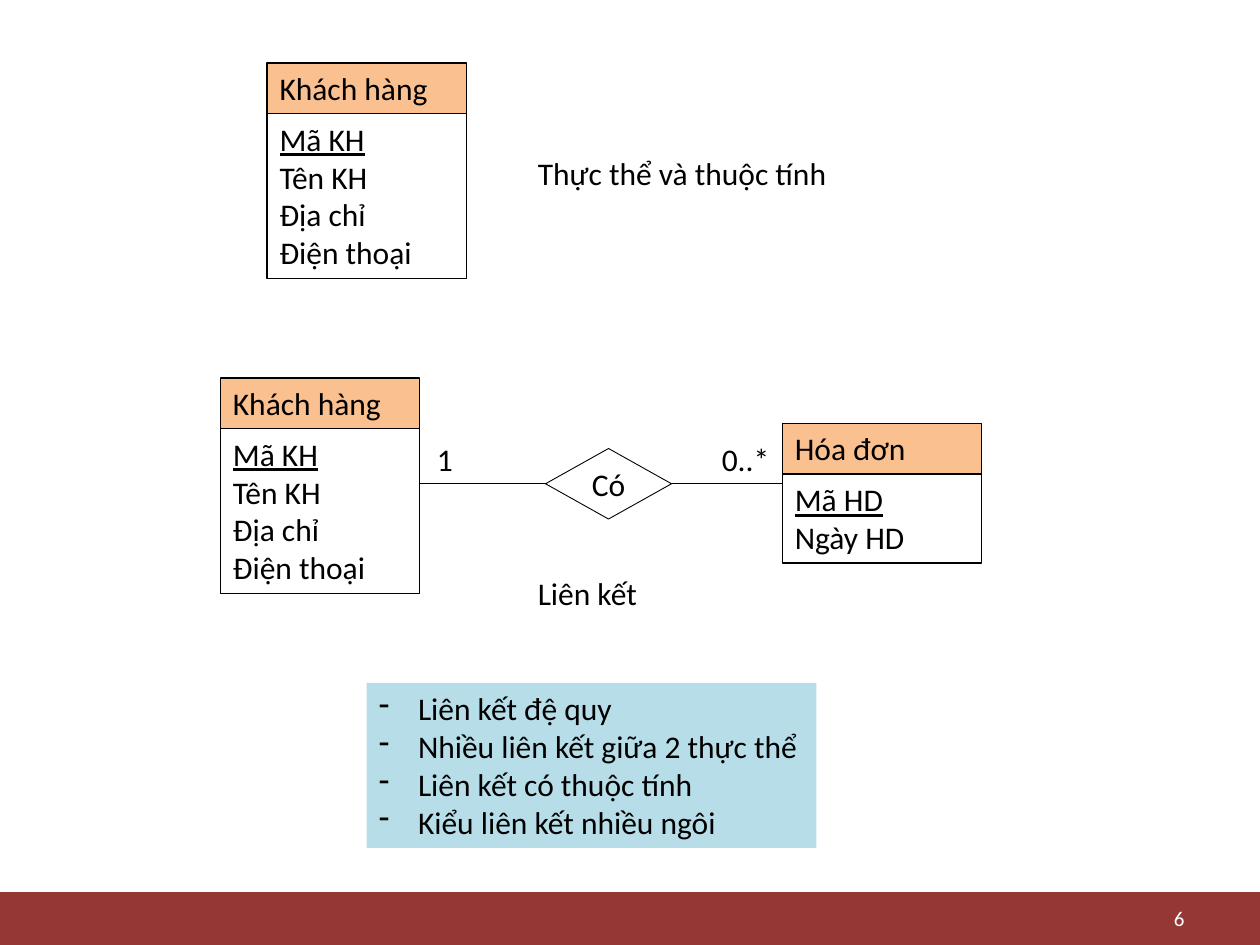
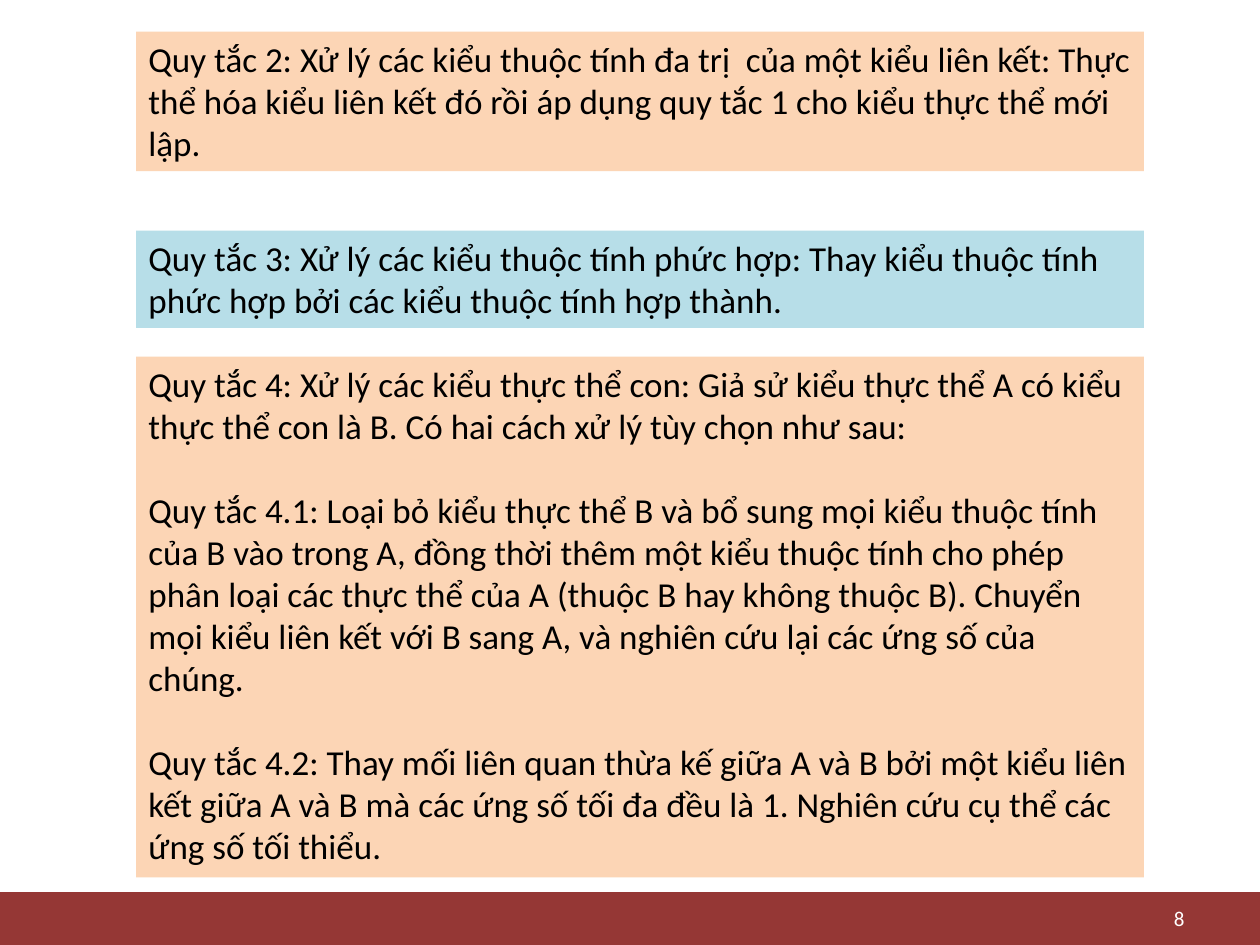
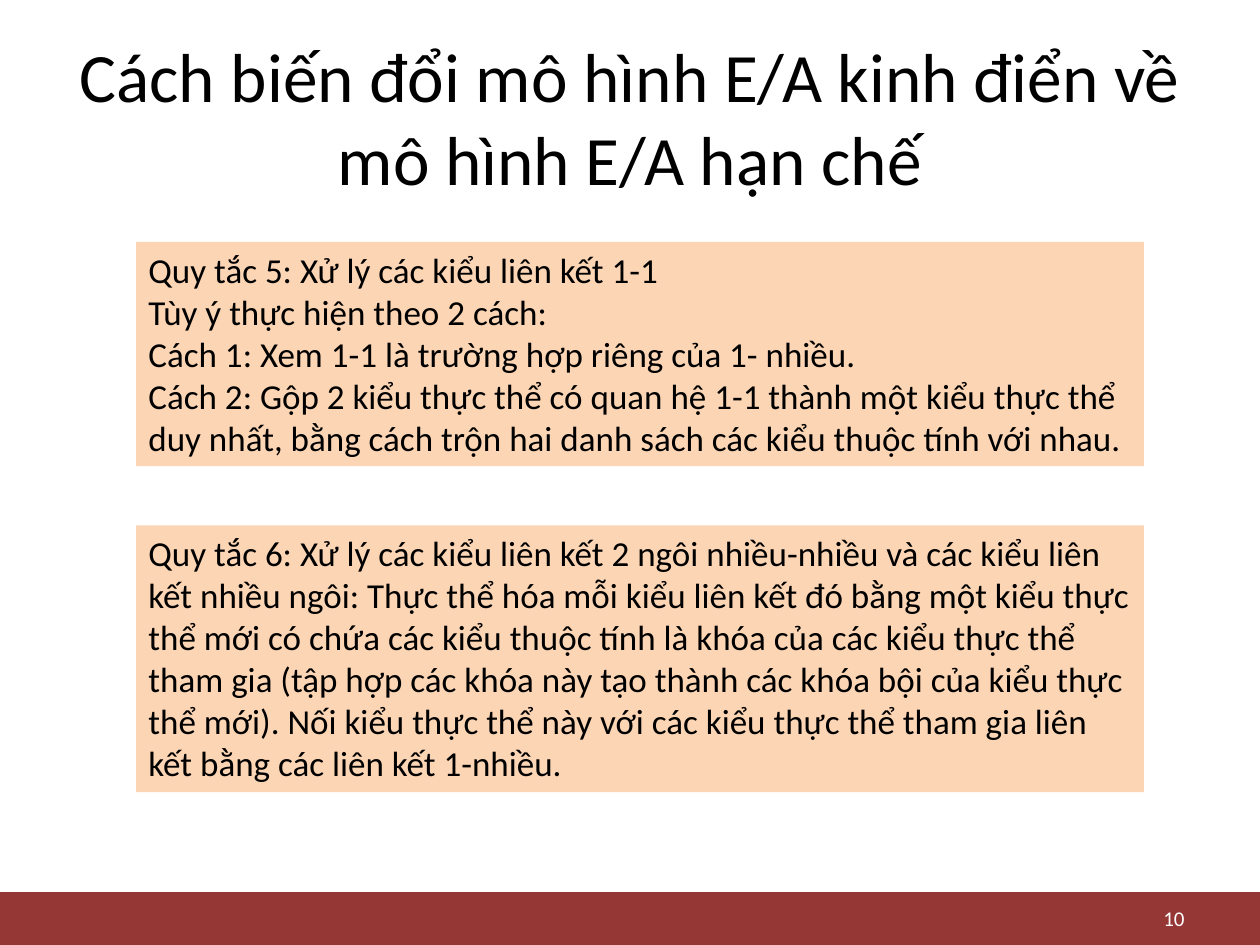
import dataclasses

import lxml.etree
import pptx
import pptx.dml.color
import pptx.enum.shapes
import pptx.enum.text
import pptx.oxml.ns
import pptx.util

Inches = pptx.util.Inches
Preset = pptx.enum.shapes.MSO_SHAPE
Align = pptx.enum.text.PP_ALIGN
Anchor = pptx.enum.text.MSO_ANCHOR
AutoSize = pptx.enum.text.MSO_AUTO_SIZE


@dataclasses.dataclass(frozen=True)
class Theme:
    font: str = "Calibri"
    ink: str = "000000"
    paper: str = "FFFFFF"
    band: str = "953735"
    header: str = "FAC090"
    peach: str = "FCD5B5"
    sky: str = "B7DEE8"
    title_size: float = 39.6
    rule_size: float = 20
    label_size: float = 18
    number_size: float = 12
    thin: float = 0.5
    line: float = 0.75


def text_height(lines, size):
    """Height in inches of a box that holds this many lines of text."""
    return 0.1 + lines * size * 1.21 / 72


class Builder:
    def __init__(self, theme):
        self.theme = theme
        self.deck = pptx.Presentation()
        self.deck.slide_width, self.deck.slide_height = Inches(10), Inches(7.5)
        self.page = None

    def new_page(self, number):
        """Start a slide with its footer band and number."""
        self.page = self.deck.slides.add_slide(self.deck.slide_layouts[6])
        self.shape(0, 7.08, 10, 0.42, fill=self.theme.band)
        self.text(7.17, 7.15, 2.33, 0.27, [str(number)], self.theme.number_size,
                  color=self.theme.paper, align=Align.RIGHT, anchor=Anchor.MIDDLE)

    def set_text(self, box, lines, size, color=None, align=Align.LEFT,
                 anchor=Anchor.TOP, wrap=True, grow=False):
        frame = box.text_frame
        frame.text = "\n".join(lines)
        frame.word_wrap = wrap
        frame.vertical_anchor = anchor
        frame.auto_size = AutoSize.SHAPE_TO_FIT_TEXT if grow else AutoSize.NONE
        for para in frame.paragraphs:
            para.alignment = align
            for span in para.runs:
                span.font.name = self.theme.font
                span.font.size = pptx.util.Pt(size)
                span.font.color.rgb = pptx.dml.color.RGBColor.from_string(
                    color or self.theme.ink)
        return box

    def text(self, left, top, width, height, lines, size, **style):
        box = self.page.shapes.add_textbox(
            Inches(left), Inches(top), Inches(width), Inches(height))
        return self.set_text(box, lines, size, **style)

    def label(self, left, top, width, words):
        size = self.theme.label_size
        self.text(left, top, width, text_height(1, size), [words], size,
                  wrap=False, grow=True)

    def title(self, words):
        self.text(0.5, 0.3, 9, 1.25, [words], self.theme.title_size,
                  align=Align.CENTER, anchor=Anchor.MIDDLE)

    def outline(self, line, width):
        line.color.rgb = pptx.dml.color.RGBColor.from_string(self.theme.ink)
        line.width = pptx.util.Pt(width)

    def shape(self, left, top, width, height, fill=None, line=None,
              preset=Preset.RECTANGLE):
        box = self.page.shapes.add_shape(
            preset, Inches(left), Inches(top), Inches(width), Inches(height))
        box.shadow.inherit = False
        if fill:
            box.fill.solid()
            box.fill.fore_color.rgb = pptx.dml.color.RGBColor.from_string(fill)
        else:
            box.fill.background()
        if line:
            self.outline(box.line, line)
        else:
            box.line.fill.background()
        return box

    def entity(self, left, top, name, attributes):
        """Entity card: header over attributes, the first being the key."""
        size, width = self.theme.label_size, 1.58
        head_height = text_height(1, size)
        head = self.shape(left, top, width, head_height,
                          self.theme.header, self.theme.line)
        self.set_text(head, [name], size, grow=True)
        body = self.shape(left, top + head_height, width,
                          text_height(len(attributes), size), line=self.theme.line)
        self.set_text(body, attributes, size, grow=True)
        body.text_frame.paragraphs[0].runs[0].font.underline = True

    def relation(self, left, top, width, height, name):
        diamond = self.shape(left, top, width, height, line=self.theme.thin,
                             preset=Preset.FLOWCHART_DECISION)
        return self.set_text(diamond, [name], self.theme.label_size,
                             align=Align.CENTER, anchor=Anchor.MIDDLE)

    def link(self, left, diamond, site):
        """Level line from an entity edge to a side of the diamond."""
        middle = diamond.top + diamond.height // 2
        connector = self.page.shapes.add_connector(
            pptx.enum.shapes.MSO_CONNECTOR.STRAIGHT,
            Inches(left), middle, diamond.left, middle)
        connector.end_connect(diamond, site)
        self.outline(connector.line, self.theme.line)
        lxml.etree.SubElement(connector._element.spPr,
                              pptx.oxml.ns.qn("a:effectLst"))

    def dash_list(self, left, top, width, items):
        size = self.theme.label_size
        box = self.shape(left, top, width, text_height(len(items), size),
                         self.theme.sky)
        self.set_text(box, items, size, wrap=False, grow=True)
        for para in box.text_frame.paragraphs:
            properties = para._p.get_or_add_pPr()
            properties.set("marL", str(Inches(0.31)))
            properties.set("indent", str(-Inches(0.31)))
            lxml.etree.SubElement(properties, pptx.oxml.ns.qn("a:buFontTx"))
            lxml.etree.SubElement(properties, pptx.oxml.ns.qn("a:buChar"), char="-")

    def rule(self, top, line_count, paragraphs, fill=None, gap=0):
        size = self.theme.rule_size
        box = self.shape(1.08, top, 8, text_height(line_count, size),
                         fill or self.theme.peach)
        self.set_text(box, paragraphs, size, grow=True)
        for para in box.text_frame.paragraphs[1:]:
            para.space_before = pptx.util.Pt(gap)


def main():
    theme = Theme()
    build = Builder(theme)
    customer = ("Khách hàng", ["Mã KH", "Tên KH", "Địa chỉ", "Điện thoại"])

    # Entities, attributes and relations
    build.new_page(6)
    build.entity(2.12, 0.5, *customer)
    build.label(4.17, 1.17, 2.52, "Thực thể và thuộc tính")
    build.entity(1.75, 3, *customer)
    build.entity(6.21, 3.36, "Hóa đơn", ["Mã HD", "Ngày HD"])
    has = build.relation(4.33, 3.56, 1, 0.56, "Có")
    build.link(3.33, has, 1)
    build.link(6.21, has, 3)
    build.label(3.37, 3.44, 0.33, "1")
    build.label(5.63, 3.44, 0.58, "0..*")
    build.label(4.17, 4.51, 1, "Liên kết")
    build.dash_list(2.91, 5.42, 3.57, [
        "Liên kết đệ quy",
        "Nhiều liên kết giữa 2 thực thể",
        "Liên kết có thuộc tính",
        "Kiểu liên kết nhiều ngôi",
    ])

    # Rules 2 to 4
    build.new_page(8)
    build.rule(0.25, 3, [
        "Quy tắc 2: Xử lý các kiểu thuộc tính đa trị  của một kiểu liên kết: "
        "Thực thể hóa kiểu liên kết đó rồi áp dụng quy tắc 1 cho kiểu thực thể "
        "mới lập.",
    ])
    build.rule(1.83, 2, [
        "Quy tắc 3: Xử lý các kiểu thuộc tính phức hợp: Thay kiểu thuộc tính "
        "phức hợp bởi các kiểu thuộc tính hợp thành.",
    ], fill=theme.sky)
    build.rule(2.83, 12, [
        "Quy tắc 4: Xử lý các kiểu thực thể con: Giả sử kiểu thực thể A có kiểu "
        "thực thể con là B. Có hai cách xử lý tùy chọn như sau:",
        "Quy tắc 4.1: Loại bỏ kiểu thực thể B và bổ sung mọi kiểu thuộc tính "
        "của B vào trong A, đồng thời thêm một kiểu thuộc tính cho phép phân "
        "loại các thực thể của A (thuộc B hay không thuộc B). Chuyển mọi kiểu "
        "liên kết với B sang A, và nghiên cứu lại các ứng số của chúng.",
        "Quy tắc 4.2: Thay mối liên quan thừa kế giữa A và B bởi một kiểu liên "
        "kết giữa A và B mà các ứng số tối đa đều là 1. Nghiên cứu cụ thể các "
        "ứng số tối thiểu.",
    ], gap=24)

    # Rules 5 and 6
    build.new_page(10)
    build.title("Cách biến đổi mô hình E/A kinh điển về mô hình E/A hạn chế")
    build.rule(1.92, 5, [
        "Quy tắc 5: Xử lý các kiểu liên kết 1-1",
        "Tùy ý thực hiện theo 2 cách:",
        "Cách 1: Xem 1-1 là trường hợp riêng của 1- nhiều.",
        "Cách 2: Gộp 2 kiểu thực thể có quan hệ 1-1 thành một kiểu thực thể duy "
        "nhất, bằng cách trộn hai danh sách các kiểu thuộc tính với nhau.",
    ])
    build.rule(4.17, 6, [
        "Quy tắc 6: Xử lý các kiểu liên kết 2 ngôi nhiều-nhiều và các kiểu liên "
        "kết nhiều ngôi: Thực thể hóa mỗi kiểu liên kết đó bằng một kiểu thực "
        "thể mới có chứa các kiểu thuộc tính là khóa của các kiểu thực thể tham "
        "gia (tập hợp các khóa này tạo thành các khóa bội của kiểu thực thể "
        "mới). Nối kiểu thực thể này với các kiểu thực thể tham gia liên kết "
        "bằng các liên kết 1-nhiều.",
    ])

    build.deck.save("out.pptx")


if __name__ == "__main__":
    main()
